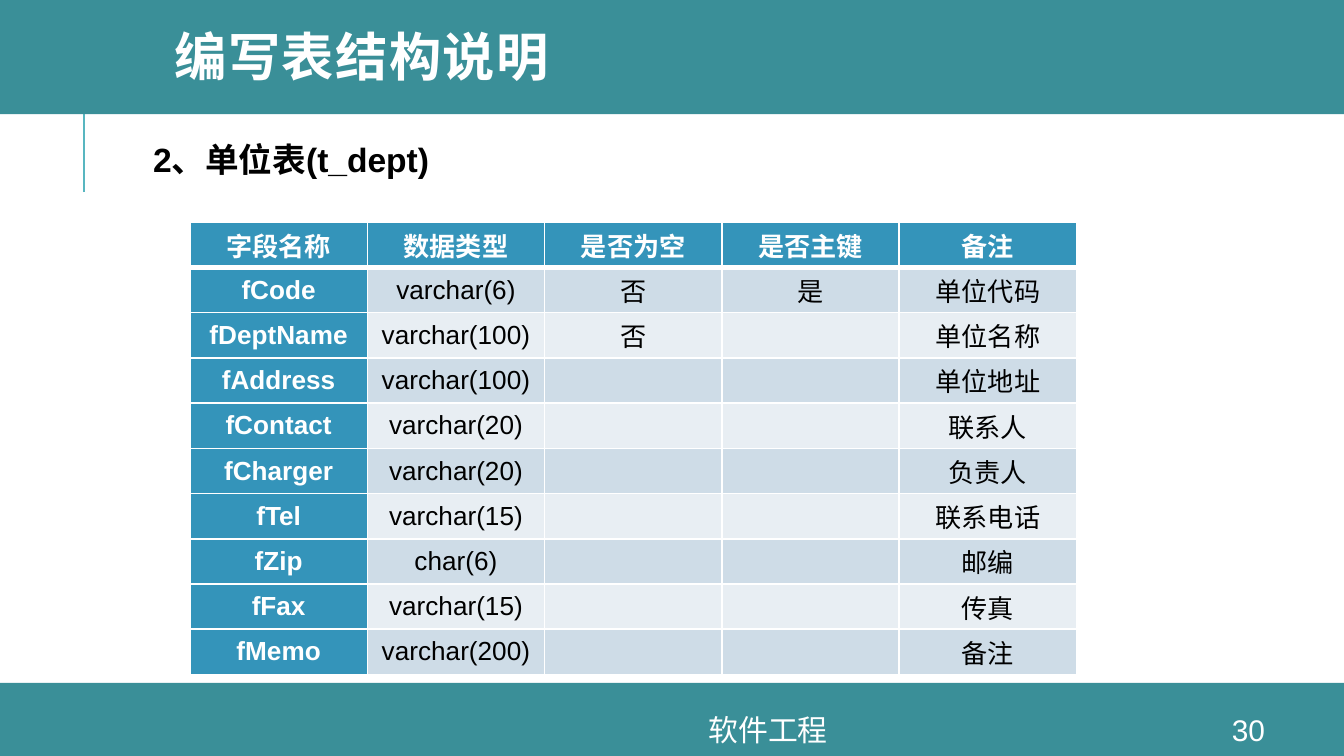
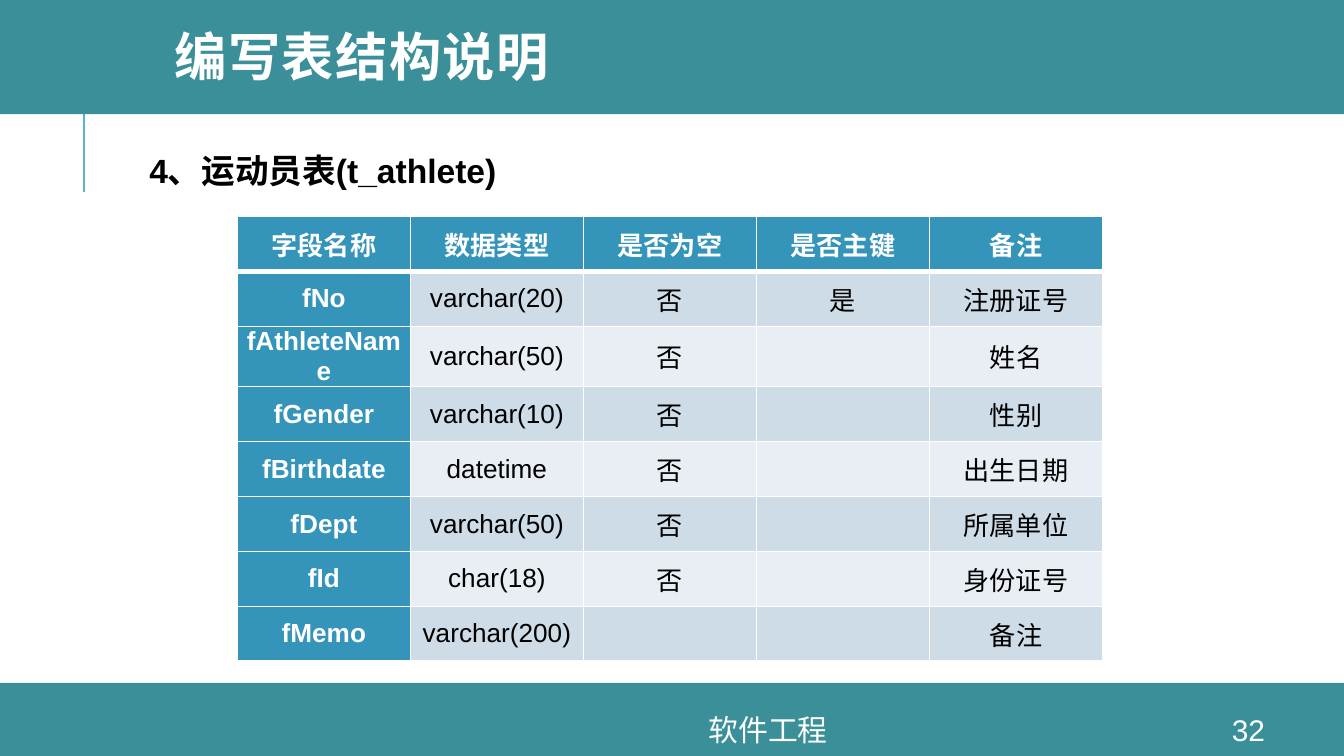
from dataclasses import dataclass

from lxml.etree import SubElement
from pptx import Presentation
from pptx.dml.color import RGBColor
from pptx.enum.shapes import MSO_CONNECTOR, MSO_SHAPE
from pptx.enum.text import MSO_ANCHOR, MSO_AUTO_SIZE, PP_ALIGN
from pptx.oxml import parse_xml
from pptx.oxml.ns import nsdecls, qn
from pptx.util import Pt

# Content
TITLE = "编写表结构说明"
COURSE = "软件工程"
HEADINGS = ("字段名称", "数据类型", "是否为空", "是否主键", "备注")
PAGES = [
    {
        "number": "30",
        "subtitle": "2、单位表(t_dept)",
        "subtitle_box": (77, 64, 167, 42),
        "table_box": (101.8, 119, 475, 242.6),
        "tall_rows": {},
        "fields": [
            ("fCode", "varchar(6)", "否", "是", "单位代码"),
            ("fDeptName", "varchar(100)", "否", "", "单位名称"),
            ("fAddress", "varchar(100)", "", "", "单位地址"),
            ("fContact", "varchar(20)", "", "", "联系人"),
            ("fCharger", "varchar(20)", "", "", "负责人"),
            ("fTel", "varchar(15)", "", "", "联系电话"),
            ("fZip", "char(6)", "", "", "邮编"),
            ("fFax", "varchar(15)", "", "", "传真"),
            ("fMemo", "varchar(200)", "", "", "备注"),
        ],
    },
    {
        "number": "32",
        "subtitle": "4、运动员表(t_athlete)",
        "subtitle_box": (75, 70, 213, 42),
        "table_box": (127.2, 116, 463.5, 238.3),
        "tall_rows": {2: 32.3},
        "fields": [
            ("fNo", "varchar(20)", "否", "是", "注册证号"),
            ("fAthleteName", "varchar(50)", "否", "", "姓名"),
            ("fGender", "varchar(10)", "否", "", "性别"),
            ("fBirthdate", "datetime", "否", "", "出生日期"),
            ("fDept", "varchar(50)", "否", "", "所属单位"),
            ("fId", "char(18)", "否", "", "身份证号"),
            ("fMemo", "varchar(200)", "", "", "备注"),
        ],
    },
]

# Shared places: left, top, width, height
BANDS = [(0, 365.8, 720, 39.2), (0, -2, 720, 63.2)]
ACCENT_LINE = (45, 103, 45, 49)
TITLE_BOX = (86.4, 0, 611.3, 65.5)
NUMBER_BOX = (640, 382.3, 57.6, 16.6)
COURSE_BOX = (188, 382.3, 447, 16.6)


@dataclass(frozen=True)
class Theme:
    font: str = "Arial"
    band: str = "3A8F98"
    accent: str = "58B6C0"
    head: str = "3494BA"
    stripes: tuple = ("CEDCE7", "E8EEF3")
    light: str = "FFFFFF"
    dark: str = "000000"
    title_size: int = 28
    subtitle_size: int = 18
    footer_size: int = 16
    cell_size: int = 14


THEME = Theme()


def points(values):
    return [Pt(value) for value in values]


def apply(target, formats):
    for name, value in formats.items():
        setattr(target, name, value)


def paint(fill, color):
    fill.solid()
    fill.fore_color.rgb = RGBColor.from_string(color)


def write(frame, text, size, color, bold=False, align=PP_ALIGN.LEFT):
    paragraph = frame.paragraphs[0]
    paragraph.alignment = align
    run = paragraph.add_run()
    run.text = text
    apply(run.font, {"name": THEME.font, "size": Pt(size), "bold": bold})
    run.font.color.rgb = RGBColor.from_string(color)


def add_text(slide, box, text, size, color, margins=None, **style):
    frame = slide.shapes.add_textbox(*points(box)).text_frame
    apply(frame, {"word_wrap": True, "auto_size": MSO_AUTO_SIZE.NONE,
                  "vertical_anchor": MSO_ANCHOR.MIDDLE, **(margins or {})})
    write(frame, text, size, color, **style)


# Bands and accent line, placed on the layout behind every slide
def dress_layout(layout, slide):
    for holder in list(layout.placeholders):
        if holder.placeholder_format.idx:
            holder.element.getparent().remove(holder.element)
    accent = slide.shapes.add_connector(MSO_CONNECTOR.STRAIGHT, *points(ACCENT_LINE))
    accent.line.width = Pt(1.5)
    accent.line.color.rgb = RGBColor.from_string(THEME.accent)
    SubElement(accent.element.spPr, qn("a:effectLst"))
    shared = [accent]
    for box in BANDS:
        band = slide.shapes.add_shape(MSO_SHAPE.RECTANGLE, *points(box))
        band.shadow.inherit = False
        paint(band.fill, THEME.band)
        band.line.fill.background()
        shared.append(band)
    for part in shared:
        layout.shapes.element.append(part.element)


def add_title(slide):
    title = slide.shapes.title
    places = zip(("left", "top", "width", "height"), points(TITLE_BOX))
    apply(title, dict(places))
    apply(title.text_frame, {"word_wrap": True, "auto_size": MSO_AUTO_SIZE.NONE,
                             "vertical_anchor": MSO_ANCHOR.MIDDLE})
    title.text_frame.paragraphs[0].line_spacing = 0.8
    write(title.text_frame, TITLE, THEME.title_size, THEME.light, bold=True)
    for properties in title.element.iter(qn("a:rPr")):
        properties.set("spc", "80")


# Field table
def add_borders(cell, row):
    widths = {"L": 1, "R": 1, "T": 3 if row == 1 else 1, "B": 3 if row == 0 else 1}
    properties = cell.fill and cell._tc.get_or_add_tcPr()
    for index, (side, width) in enumerate(widths.items()):
        properties.insert(index, parse_xml(
            f'<a:ln{side} {nsdecls("a")} w="{Pt(width)}"><a:solidFill>'
            f'<a:srgbClr val="{THEME.light}"/></a:solidFill></a:ln{side}>'))


def add_fields(slide, page):
    rows = [HEADINGS, *page["fields"]]
    box, tall = page["table_box"], page["tall_rows"]
    table = slide.shapes.add_table(len(rows), len(HEADINGS), *points(box)).table
    table.first_col = True
    for column in table.columns:
        column.width = Pt(box[2] / len(HEADINGS))
    plain_height = (box[3] - sum(tall.values())) / (len(rows) - len(tall))
    for r, values in enumerate(rows):
        table.rows[r].height = Pt(tall.get(r, plain_height))
        for c, value in enumerate(values):
            cell = table.cell(r, c)
            head = r == 0 or c == 0
            apply(cell, {"margin_left": Pt(4.5), "margin_right": Pt(4.5),
                         "margin_top": 0, "margin_bottom": 0,
                         "vertical_anchor": MSO_ANCHOR.MIDDLE})
            paint(cell.fill, THEME.head if head else THEME.stripes[(r - 1) % 2])
            add_borders(cell, r)
            if value:
                write(cell.text_frame, value, THEME.cell_size,
                      THEME.light if head else THEME.dark, head, PP_ALIGN.CENTER)


def main():
    deck = Presentation()
    apply(deck, {"slide_width": Pt(720), "slide_height": Pt(405)})
    layout = deck.slide_layouts.get_by_name("Title Only")
    for position, page in enumerate(PAGES):
        slide = deck.slides.add_slide(layout)
        if position == 0:
            dress_layout(layout, slide)
        add_fields(slide, page)
        add_text(slide, page["subtitle_box"], page["subtitle"], THEME.subtitle_size,
                 THEME.dark, bold=True,
                 margins={"margin_left": Pt(5), "margin_right": Pt(10),
                          "margin_top": Pt(10), "margin_bottom": Pt(10)})
        add_title(slide)
        for box, text in ((NUMBER_BOX, page["number"]), (COURSE_BOX, COURSE)):
            add_text(slide, box, text, THEME.footer_size, THEME.light,
                     align=PP_ALIGN.CENTER)
    deck.save("out.pptx")


if __name__ == "__main__":
    main()
